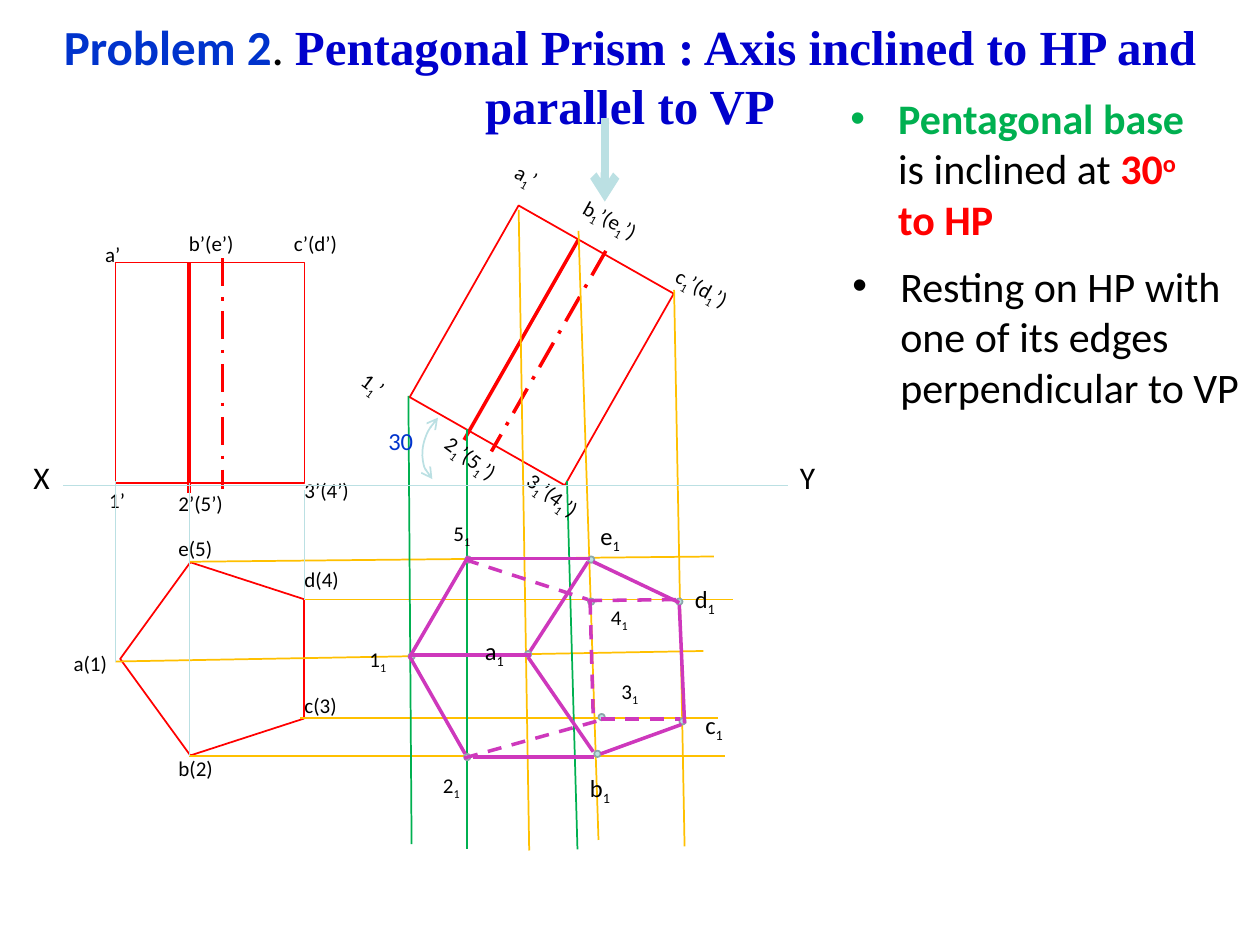
import pptx
import pptx.util
import pptx.dml.color
import pptx.enum.dml
import pptx.enum.shapes
import pptx.enum.text
import pptx.oxml.ns
import lxml.etree
from dataclasses import dataclass

SHAPE = pptx.enum.shapes.MSO_SHAPE
DASH = pptx.enum.dml.MSO_LINE
qn = pptx.oxml.ns.qn


@dataclass(frozen=True)
class Theme:
    sans: str = "Calibri"
    serif: str = "Times New Roman"
    black: str = "000000"
    blue: str = "0033CC"
    title_blue: str = "0000CC"
    green: str = "00B050"
    red: str = "FF0000"
    orange: str = "FFC000"
    magenta: str = "CE38BC"
    pale: str = "BBE0E3"
    dot_line: str = "8AA6A8"
    title_size: int = 28
    body_size: int = 24
    axis_size: int = 18
    point_size: int = 14
    label_size: int = 12


THEME = Theme()
WIDTH, HEIGHT = pptx.util.Inches(10), pptx.util.Inches(7.5)
COLUMNS, ROWS = 120, 90  # all places are given on this grid


def col(number):
    return round(WIDTH * number / COLUMNS)


def row(number):
    return round(HEIGHT * number / ROWS)


def rgb(color):
    return pptx.dml.color.RGBColor.from_string(color)


def add_span(para, text, size, color, bold=False, font=THEME.sans, baseline=0):
    span = para.add_run()
    span.text = text
    span.font.size = pptx.util.Pt(size)
    span.font.name = font
    span.font.bold = bold
    span.font.color.rgb = rgb(color)
    if baseline:
        span.font._element.set("baseline", str(baseline * 1000))


def add_box(page, x, y, wide, high, wrap=True):
    box = page.shapes.add_textbox(col(x), row(y), col(wide), row(high))
    box.text_frame.word_wrap = wrap
    return box


def add_label(page, text, x, y, wide, high, size, color=THEME.black,
              turn=0, inset=True, wrap=True):
    """An underscore makes the next character a subscript."""
    box = add_box(page, x, y, wide, high, wrap)
    box.rotation = turn
    frame = box.text_frame
    if not inset:
        frame.margin_left = frame.margin_right = 0
        frame.margin_top = frame.margin_bottom = 0
    para = frame.paragraphs[0]
    first, *others = text.split("_")
    add_span(para, first, size, color)
    for piece in others:
        add_span(para, piece[0], size, color, baseline=-25)
        if piece[1:]:
            add_span(para, piece[1:], size, color)


def add_bullet(page, x, y, wide, high, spans):
    para = add_box(page, x, y, wide, high).text_frame.paragraphs[0]
    for text, color, bold, baseline in spans:
        add_span(para, text, THEME.body_size, color, bold, baseline=baseline)
    settings = para._p.get_or_add_pPr()
    indent = pptx.util.Inches(0.38)
    settings.set("marL", str(indent))
    settings.set("indent", str(-indent))
    lxml.etree.SubElement(settings, qn("a:buFont")).set("typeface", "Arial")
    lxml.etree.SubElement(settings, qn("a:buChar")).set("char", "•")


def add_arrowheads(line, *ends):
    for end in ends:
        head = lxml.etree.SubElement(line._get_or_add_ln(), qn("a:" + end))
        head.set("type", "arrow")


def add_line(page, x1, y1, x2, y2, color, weight=1, dash=None):
    line = page.shapes.add_connector(
        pptx.enum.shapes.MSO_CONNECTOR.STRAIGHT, col(x1), row(y1), col(x2), row(y2))
    line.line.color.rgb = rgb(color)
    line.line.width = pptx.util.Pt(weight)
    if dash is not None:
        line.line.dash_style = dash
    lxml.etree.SubElement(line._element.spPr, qn("a:effectLst"))
    return line


def add_outline(page, kind, x, y, wide, high, color, turn=0, fill=None):
    shape = page.shapes.add_shape(kind, col(x), row(y), col(wide), row(high))
    shape.shadow.inherit = False
    shape.rotation = turn
    shape.line.color.rgb = rgb(color)
    shape.line.width = pptx.util.Pt(1)
    if fill:
        shape.fill.solid()
        shape.fill.fore_color.rgb = rgb(fill)
    else:
        shape.fill.background()
    return shape


def add_title(page):
    title = page.shapes.title
    title.left, title.top, title.width, title.height = 0, row(1), WIDTH, row(12.5)
    frame = title.text_frame
    frame.vertical_anchor = pptx.enum.text.MSO_ANCHOR.TOP
    frame.auto_size = pptx.enum.text.MSO_AUTO_SIZE.NONE
    para = frame.paragraphs[0]
    para.alignment = pptx.enum.text.PP_ALIGN.CENTER
    size = THEME.title_size
    add_span(para, "Problem 2", size, THEME.blue, True)
    add_span(para, ". ", size, THEME.black)
    add_span(para, "Pentagonal Prism : Axis inclined to HP and parallel to VP",
             size, THEME.title_blue, True, THEME.serif)


def add_statement(page):
    add_bullet(page, 80, 24.2, 39.7, 15.7, [
        ("Resting on HP with one of its edges perpendicular to VP", THEME.black, False, 0)])
    add_bullet(page, 79.8, 8.2, 36, 15.7, [
        ("Pentagonal base ", THEME.green, True, 0),
        ("is inclined at ", THEME.black, False, 0),
        ("30", THEME.red, True, 0),
        ("o", THEME.red, True, 30),
        (" to HP", THEME.red, True, 0)])


def add_elevation(page, rectangle, turn, edge, axis):
    add_outline(page, SHAPE.RECTANGLE, *rectangle, THEME.red, turn)
    add_line(page, *edge, THEME.red, 2)
    add_line(page, *axis, THEME.red, 2, DASH.LONG_DASH_DOT)


def add_projectors(page):
    for ends in [(18.1, 53.5, 68, 53), (29, 57.1, 69.8, 57.1), (11, 63, 67, 62),
                 (28.6, 68.4, 68.4, 68.4), (18, 72, 69, 72), (64.2, 27.6, 65.2, 80.6),
                 (55.1, 22, 57, 80), (49.4, 20, 50.4, 81)]:
        add_line(page, *ends, THEME.orange)
    for ends in [(38.9, 37.7, 39.2, 80.4), (44.5, 40.9, 44.5, 80.9), (54, 45.8, 55, 80.9)]:
        add_line(page, *ends, THEME.green)


def add_final_plan(page):
    dot = 0.6
    for x, y in [(64.7, 57.3), (65, 68.7), (56.3, 53.3), (56.9, 71.8), (50.3, 62.3),
                 (39.2, 62.5), (44.6, 53.3), (44.5, 72.1), (56.3, 57.3), (57.3, 68.3)]:
        add_outline(page, SHAPE.OVAL, x - dot / 2, y - dot / 2, dot, dot,
                    THEME.dot_line, fill=THEME.pale)
    visible = [(50.3, 62.6, 56.5, 71.6), (56, 53.5, 50.5, 62), (56.5, 53.5, 64.7, 57.4),
               (64.7, 57.6, 65.2, 68.9), (64.9, 69, 57.2, 71.8), (44.6, 53, 39, 62.6),
               (39, 62.5, 44.3, 71.8), (39, 62.4, 50.6, 62.4), (44.5, 53.2, 56.2, 53.2),
               (45, 72.1, 56.6, 72.1)]
    hidden = [(44.3, 53.3, 56, 57.1), (44.2, 72.2, 57.5, 68.5), (56.2, 57.2, 56.5, 68.3),
              (57.2, 68.5, 64.8, 68.5), (56, 57.2, 64.9, 57.1)]
    for edges, dash in [(visible, None), (hidden, DASH.DASH)]:
        for ends in edges:
            add_line(page, *ends, THEME.magenta, 2, dash)


def add_labels(page):
    # Corners of the first plan and both elevations: text, x, y, width, turn
    for text, x, y, wide, turn in [
            ("a(1)", 7, 62, 4, 0), ("c(3)", 29, 66, 4, 0), ("b(2)", 17, 72, 4, 0),
            ("e(5)", 17, 51, 4, 0), ("d(4)", 29, 54, 4, 0),
            ("a’", 10, 23, 4, 0), ("b’(e’)", 18, 22, 5, 0), ("c’(d’)", 28, 22, 6, 0),
            ("2’(5’)", 17, 46.7, 6, 0), ("1’", 10.4, 46.4, 4, 0), ("3’(4’)", 29, 45.5, 6, 0),
            ("a_1’", 49, 16, 4, 29), ("b_1’(e_1’)", 55.4, 19.8, 5.8, 29),
            ("c_1’(d_1’)", 64.2, 26.3, 5.8, 29), ("2_1’(5_1’)", 42.1, 42.6, 6, 36.6),
            ("1_1’", 34.3, 36, 4, 36.6), ("3_1’(4_1’)", 49.9, 46.1, 6, 36.6)]:
        add_label(page, text, x, y, wide, 2.4, THEME.label_size, turn=turn, inset=False)
    # Corners of the final plan
    for text, x, y in [("d_1", 65, 55), ("c_1", 66, 67), ("b_1", 55, 73),
                       ("e_1", 56, 49), ("a_1", 45, 60)]:
        add_label(page, text, x, y, 5, 4, THEME.point_size)
    for text, x, y in [("1_1", 34, 61), ("5_1", 42, 49), ("2_1", 41, 73),
                       ("3_1", 58, 64), ("4_1", 57, 57)]:
        add_label(page, text, x, y, 5, 3.6, THEME.label_size)


def add_reference_line(page):
    for ends in [(6, 46.2, 75, 46.2), (11, 63, 11, 45.8),
                 (18, 72, 18, 46), (29, 57.1, 29, 46.7)]:
        add_line(page, *ends, THEME.pale, 0.5)
    for text, x in [("X", 2), ("Y", 75)]:
        add_label(page, text, x, 43, 4, 4.8, THEME.axis_size, wrap=False)


def add_angle(page):
    arc = add_outline(page, SHAPE.ARC, 40.7, 37.7, 7.3, 9.2, THEME.pale, 223.7)
    add_arrowheads(arc.line, "headEnd", "tailEnd")
    add_label(page, "30", 35.8, 40, 4.8, 4, THEME.point_size, THEME.blue, wrap=False)


def main():
    deck = pptx.Presentation()
    deck.slide_width, deck.slide_height = WIDTH, HEIGHT
    page = deck.slides.add_slide(deck.slide_layouts[5])
    add_title(page)
    add_statement(page)
    # Tilted elevation, first plan, upright elevation
    add_elevation(page, (43.1, 22.4, 17, 21), 29.6,
                  (55.1, 22.8, 44.2, 41.9), (57.7, 23.9, 46.8, 43))
    add_outline(page, SHAPE.REGULAR_PENTAGON, 11, 54, 18.4, 17.5, THEME.red, 270)
    add_projectors(page)
    add_elevation(page, (11, 25, 18, 21), 0, (18, 25, 18, 47), (21.2, 24.6, 21.2, 46.6))
    add_final_plan(page)
    add_labels(page)
    add_reference_line(page)
    add_angle(page)
    # Viewing direction
    view = add_line(page, 57.6, 11.2, 57.6, 19.2, THEME.pale, 4.75)
    add_arrowheads(view.line, "tailEnd")
    deck.save("out.pptx")


if __name__ == "__main__":
    main()
